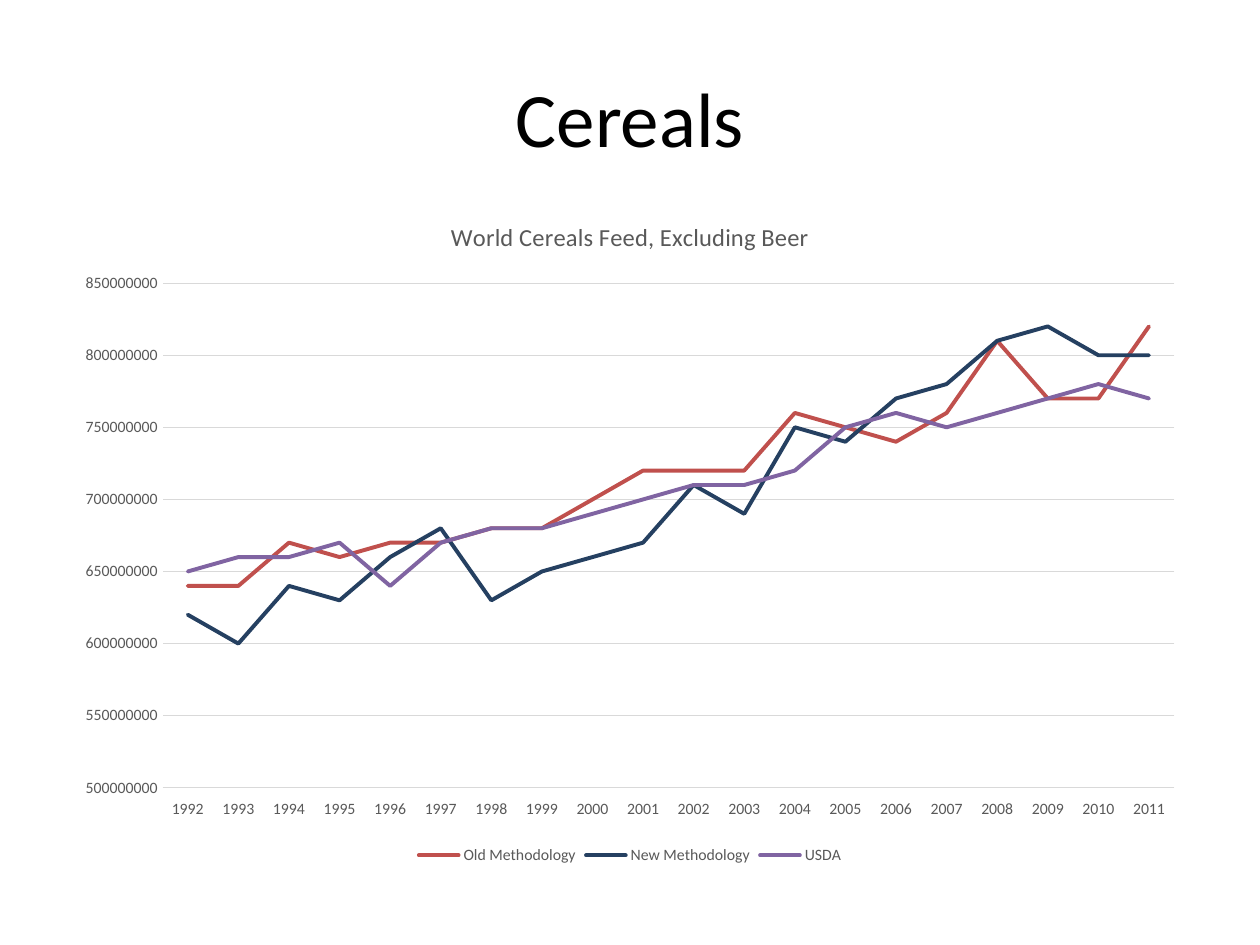
from pptx import Presentation
from pptx.chart.data import CategoryChartData as ChartData
from pptx.dml.color import RGBColor
from pptx.enum.chart import XL_CHART_TYPE as ChartType, XL_LEGEND_POSITION as LegendPos
from pptx.enum.chart import XL_MARKER_STYLE as Marker, XL_TICK_MARK as Tick
from pptx.enum.chart import XL_TICK_LABEL_POSITION as LabelPos
from pptx.enum.text import MSO_ANCHOR as Anchor, PP_ALIGN as Align
from pptx.oxml.ns import qn
from pptx.util import Cm, Pt

BLACK = RGBColor(0x00, 0x00, 0x00)
GRAY = RGBColor(0x59, 0x59, 0x59)
GRID = RGBColor(0xD9, 0xD9, 0xD9)
RED = RGBColor(0xC0, 0x50, 0x4D)
NAVY = RGBColor(0x25, 0x40, 0x61)
PURPLE = RGBColor(0x80, 0x64, 0xA2)
FONT = "Calibri"
MILLION = 1_000_000
YEARS = range(1992, 2012)
FEED = [
    ("Old Methodology", RED,
     [640, 640, 670, 660, 670, 670, 680, 680, 700, 720,
      720, 720, 760, 750, 740, 760, 810, 770, 770, 820]),
    ("New Methodology", NAVY,
     [620, 600, 640, 630, 660, 680, 630, 650, 660, 670,
      710, 690, 750, 740, 770, 780, 810, 820, 800, 800]),
    ("USDA", PURPLE,
     [650, 660, 660, 670, 640, 670, 680, 680, 690, 700,
      710, 710, 720, 750, 760, 750, 760, 770, 780, 770]),
]


def set_font(font, size, color=GRAY):
    """Apply the slide's typeface with a size and colour."""
    font.name, font.size, font.bold = FONT, Pt(size), False
    font.color.rgb = color


def set_line(line, color, width):
    """Give a line a solid colour and a width in points."""
    line.color.rgb = color
    line.width = Pt(width)


def write(tf, text, size=14, color=GRAY, align=Align.CENTER):
    """Fill a text frame with one formatted paragraph."""
    p = tf.paragraphs[0]
    p.alignment = align
    r = p.add_run()
    r.text = text
    set_font(r.font, size, color)


def add_title(s, text):
    """Place and fill the title placeholder."""
    sp = s.shapes.title
    sp.left, sp.top, sp.width, sp.height = Cm(1.27), Cm(0.76), Cm(22.86), Cm(3.18)
    sp.text_frame.vertical_anchor = Anchor.MIDDLE
    write(sp.text_frame, text, size=44, color=BLACK)


def format_axes(chart):
    """Style the year axis, the value axis and its gridlines."""
    years, values = chart.category_axis, chart.value_axis
    for axis in (years, values):
        axis.major_tick_mark = axis.minor_tick_mark = Tick.NONE
        set_font(axis.tick_labels.font, 9)
    years.tick_label_position = LabelPos.LOW
    set_line(years.format.line, GRID, 0.75)
    values.format.line.fill.background()
    values.minimum_scale, values.maximum_scale = 500 * MILLION, 850 * MILLION
    values.major_unit = 50 * MILLION
    set_line(values.major_gridlines.format.line, GRID, 0.75)


def format_series(series, color):
    """Draw a series as a plain line with round ends."""
    series.smooth = False
    series.marker.style = Marker.NONE
    set_line(series.format.line, color, 2.25)
    ln = series.format.line.fill and series._element.find(".//" + qn("a:ln"))
    ln.set("cap", "rnd")


def add_line_chart(s, title):
    """Add the feed line chart with its title and legend."""
    data = ChartData()
    data.categories = [str(year) for year in YEARS]
    for name, _, values in FEED:
        data.add_series(name, [v * MILLION for v in values])
    chart = s.shapes.add_chart(ChartType.LINE, Cm(1.27), Cm(3.94),
                               Cm(22.86), Cm(13.59), data).chart
    set_font(chart.font, 10, BLACK)
    write(chart.chart_title.text_frame, title)
    chart.chart_title.include_in_layout = False
    chart.has_legend = True
    chart.legend.position = LegendPos.BOTTOM
    chart.legend.include_in_layout = False
    set_font(chart.legend.font, 9)
    format_axes(chart)
    chart.plots[0].vary_by_categories = False
    for series, (_, color, _) in zip(chart.plots[0].series, FEED):
        format_series(series, color)


def main():
    """Build and save the slide."""
    prs = Presentation()
    prs.slide_width, prs.slide_height = Cm(25.4), Cm(19.05)
    s = prs.slides.add_slide(prs.slide_layouts[5])
    add_title(s, "Cereals")
    add_line_chart(s, "World Cereals Feed, Excluding Beer")
    prs.save("out.pptx")


if __name__ == "__main__":
    main()
